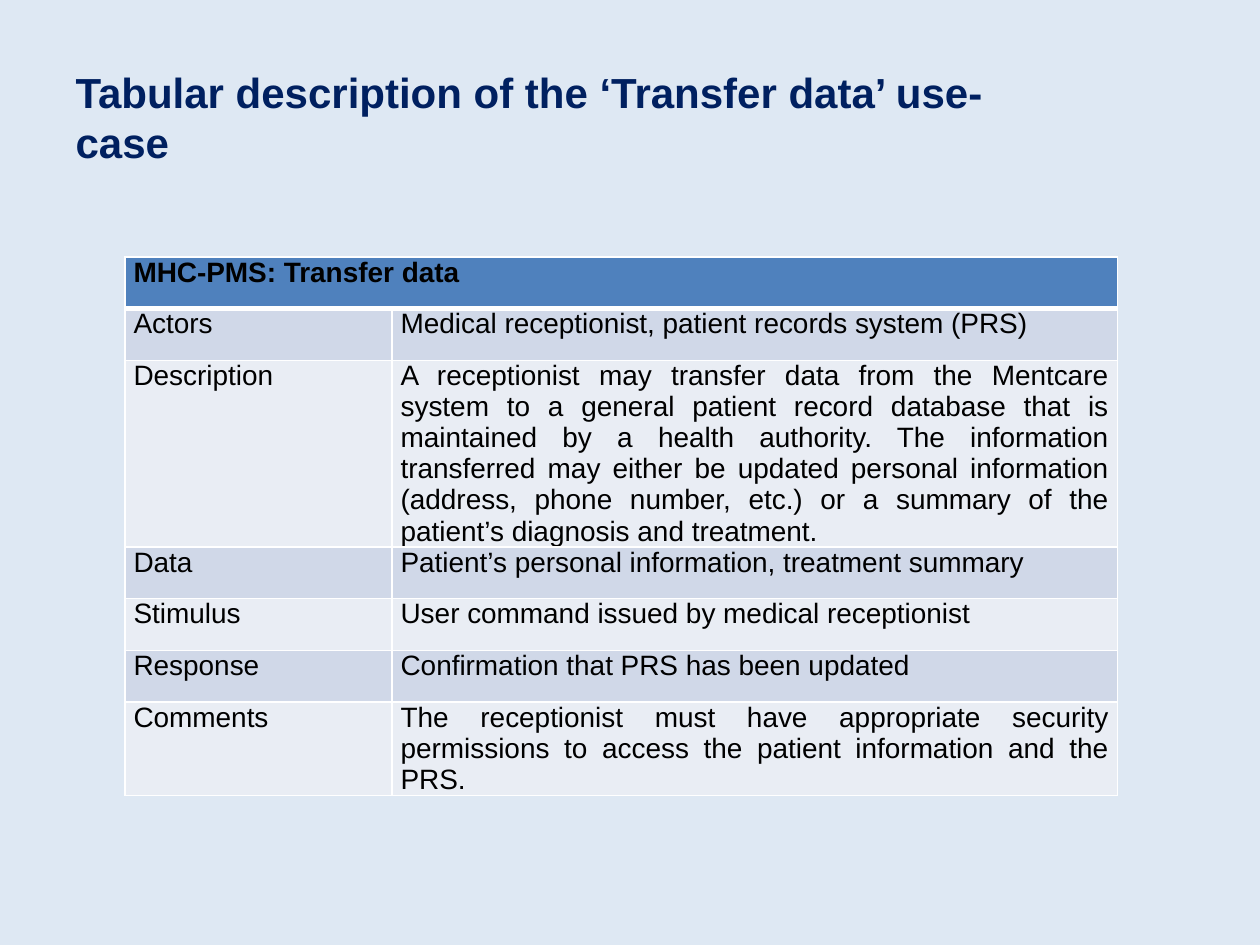
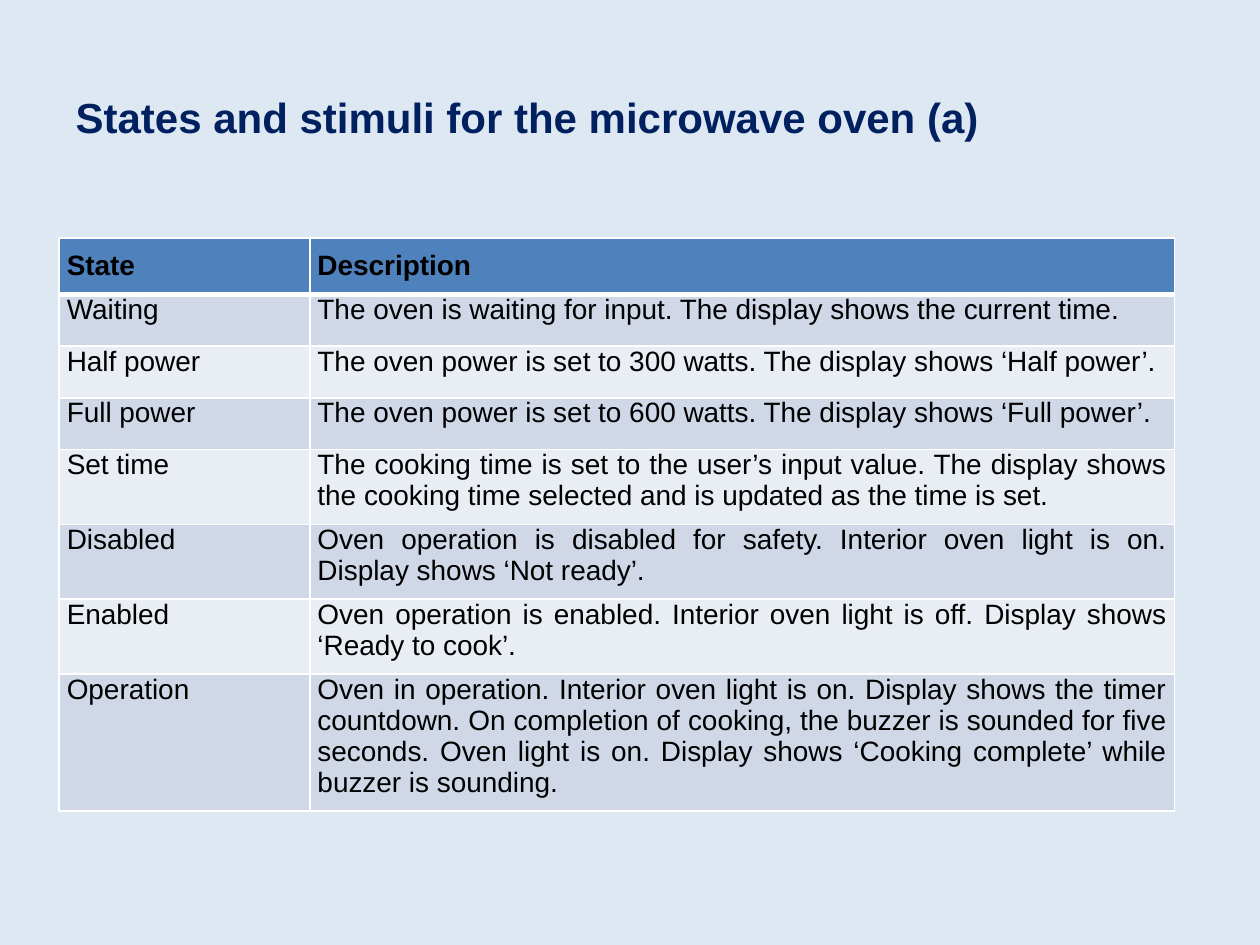
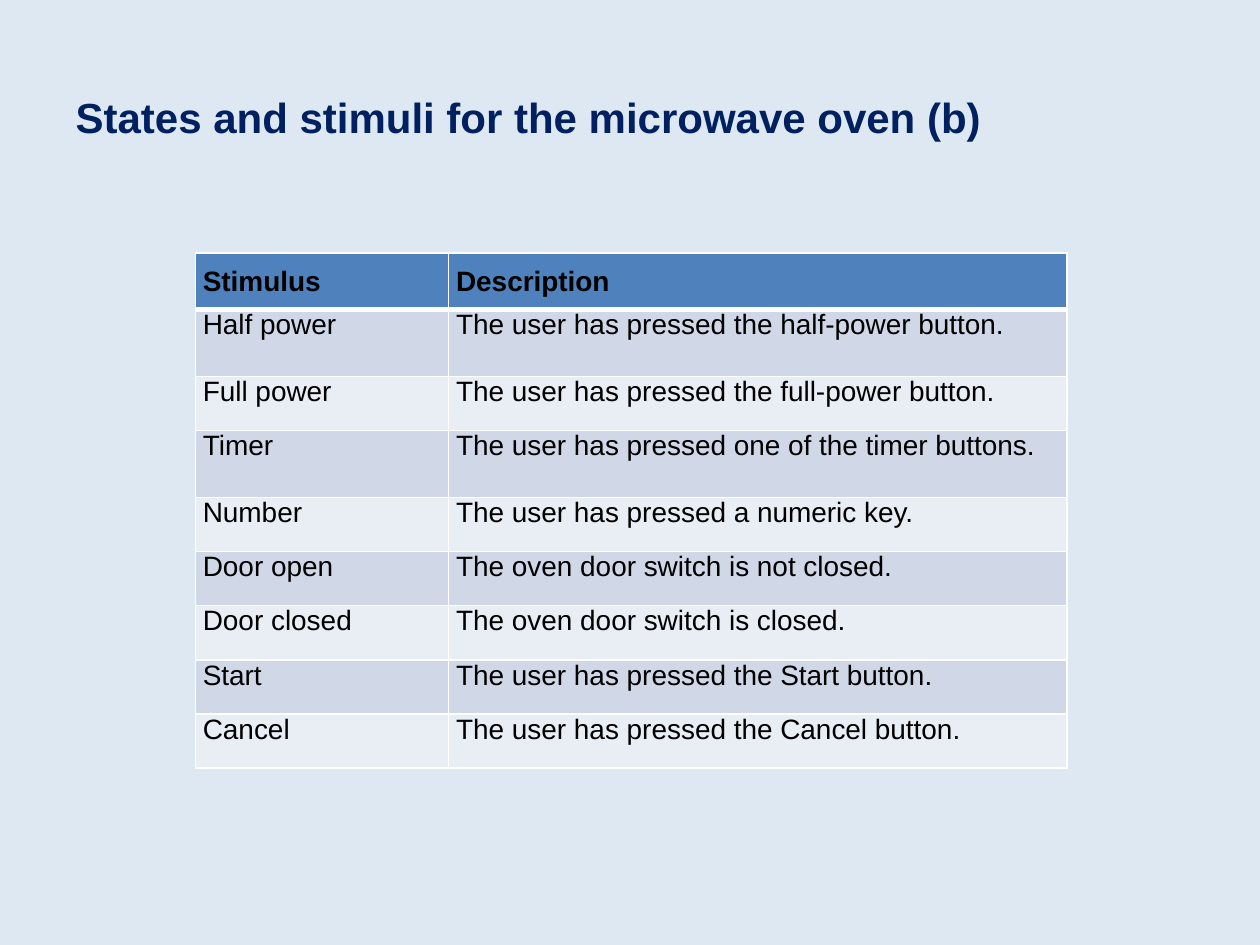
from collections import namedtuple

from lxml import etree
from pptx import Presentation
from pptx.dml.color import RGBColor
from pptx.enum import text
from pptx.oxml import ns
from pptx.util import Inches, Pt

Box = namedtuple("Box", "left top width height")

COLOURS = {
    "background": "DEE8F3",
    "title": "002060",
    "body": "000000",
    "header": "4F81BD",
    "odd_row": "D0D8E8",
    "even_row": "E9EDF4",
    "border": "FFFFFF",
}
TITLE_BOX = Box(0.5, 0.3, 7.98, 1.25)
TITLE_FONT = {"name": "Arial", "size": Pt(24), "bold": True}
BODY_FONT = {"name": "Arial", "size": Pt(16), "bold": False}
HEADER_FONT = {**BODY_FONT, "bold": True}
TITLE_FRAME = {
    "word_wrap": True,
    "auto_size": text.MSO_AUTO_SIZE.NONE,
    "vertical_anchor": text.MSO_ANCHOR.MIDDLE,
}
THIN, THICK = 1, 3

TRANSFER_ROWS = [
    ("MHC-PMS: Transfer data",),
    ("Actors", "Medical receptionist, patient records system (PRS)"),
    ("Description", "A receptionist may transfer data from the Mentcare system to a general "
     "patient record database that is maintained by a health authority. The information "
     "transferred may either be updated personal information (address, phone number, etc.) "
     "or a summary of the patient’s diagnosis and treatment."),
    ("Data", "Patient’s personal information, treatment summary"),
    ("Stimulus", "User command issued by medical receptionist"),
    ("Response", "Confirmation that PRS has been updated"),
    ("Comments", "The receptionist must have appropriate security permissions to access "
     "the patient information and the PRS."),
]
STATE_ROWS = [
    ("State", "Description"),
    ("Waiting", "The oven is waiting for input. The display shows the current time."),
    ("Half power", "The oven power is set to 300 watts. The display shows ‘Half power’."),
    ("Full power", "The oven power is set to 600 watts. The display shows ‘Full power’."),
    ("Set time", "The cooking time is set to the user’s input value. The display shows "
     "the cooking time selected and is updated as the time is set."),
    ("Disabled", "Oven operation is disabled for safety. Interior oven light is on. "
     "Display shows ‘Not ready’."),
    ("Enabled", "Oven operation is enabled. Interior oven light is off. Display shows "
     "‘Ready to cook’."),
    ("Operation", "Oven in operation. Interior oven light is on. Display shows the timer "
     "countdown. On completion of cooking, the buzzer is sounded for five seconds. Oven "
     "light is on. Display shows ‘Cooking complete’ while buzzer is sounding."),
]
STIMULUS_ROWS = [
    ("Stimulus", "Description"),
    ("Half power", "The user has pressed the half-power button."),
    ("Full power", "The user has pressed the full-power button."),
    ("Timer", "The user has pressed one of the timer buttons."),
    ("Number", "The user has pressed a numeric key."),
    ("Door open", "The oven door switch is not closed."),
    ("Door closed", "The oven door switch is closed."),
    ("Start", "The user has pressed the Start button."),
    ("Cancel", "The user has pressed the Cancel button."),
]

SLIDES = [
    {
        "title": "Tabular description of the ‘Transfer data’ use-case",
        "box": Box(0.99, 2.04, 7.88, 4.43),
        "label_width": 2.12,
        "row_heights": [0.41] * 7,
        "side_inset": 0.07,
        "end_inset": 0,
        "rows": TRANSFER_ROWS,
    },
    {
        "title": "States and stimuli for the microwave oven (a)",
        "box": Box(0.47, 1.89, 8.85, 4.75),
        "label_width": 1.99,
        "row_heights": [0.41] * 8,
        "side_inset": 0.06,
        "end_inset": 0.1,
        "rows": STATE_ROWS,
    },
    {
        "title": "States and stimuli for the microwave oven (b)",
        "box": Box(1.55, 2.01, 6.92, 4.11),
        "label_width": 2.01,
        "row_heights": [0.43, 0.53, 0.43, 0.53] + [0.43] * 5,
        "side_inset": 0.06,
        "end_inset": 0.1,
        "rows": STIMULUS_ROWS,
    },
]


def colour(name):
    return RGBColor.from_string(COLOURS[name])


def set_attributes(target, values):
    for name, value in values.items():
        setattr(target, name, value)


def write(frame, words, font, colour_name, alignment):
    frame.text = words
    para = frame.paragraphs[0]
    para.alignment = alignment
    span = para.runs[0]
    set_attributes(span.font, font)
    span.font.color.rgb = colour(colour_name)


def add_title(page, words, box):
    title = page.shapes.title
    set_attributes(title, {side: Inches(length) for side, length in box._asdict().items()})
    set_attributes(title.text_frame, TITLE_FRAME)
    write(title.text_frame, words, TITLE_FONT, "title", text.PP_ALIGN.LEFT)


def set_borders(cell, row_index):
    widths = {
        "lnL": THIN,
        "lnR": THIN,
        "lnT": THICK if row_index == 1 else THIN,
        "lnB": THICK if row_index == 0 else THIN,
    }
    properties = cell._tc.get_or_add_tcPr()
    for edge, width in widths.items():
        line = etree.SubElement(properties, ns.qn(f"a:{edge}"), w=str(Pt(width)))
        fill = etree.SubElement(line, ns.qn("a:solidFill"))
        etree.SubElement(fill, ns.qn("a:srgbClr"), val=COLOURS["border"])


def format_cell(cell, row_index, side_inset, end_inset):
    set_borders(cell, row_index)
    is_header = row_index == 0
    band = "header" if is_header else "odd_row" if row_index % 2 else "even_row"
    cell.fill.solid()
    cell.fill.fore_color.rgb = colour(band)
    set_attributes(cell, {
        "margin_left": Inches(side_inset),
        "margin_right": Inches(side_inset),
        "margin_top": Inches(end_inset if is_header else 0),
        "margin_bottom": Inches(end_inset),
        "vertical_anchor": text.MSO_ANCHOR.TOP,
    })


def add_description_table(page, box, rows, label_width, row_heights, side_inset, end_inset):
    holder = page.shapes.add_table(len(rows), 2, *map(Inches, box))
    table = holder.table
    for column, width in zip(table.columns, (label_width, box.width - label_width)):
        column.width = Inches(width)
    for row_index, (words, height) in enumerate(zip(rows, row_heights)):
        row = table.rows[row_index]
        row.height = Inches(height)
        for cell in row.cells:
            format_cell(cell, row_index, side_inset, end_inset)
        if len(words) == 1:
            row.cells[0].merge(row.cells[1])
        font = BODY_FONT if row_index else HEADER_FONT
        for cell, entry in zip(row.cells, words):
            write(cell.text_frame, entry, font, "body", text.PP_ALIGN.JUSTIFY)
    holder.height = Inches(box.height)


def add_table_slide(deck, title, **table_values):
    page = deck.slides.add_slide(deck.slide_layouts.get_by_name("Title Only"))
    add_title(page, title, TITLE_BOX)
    add_description_table(page, **table_values)


def main():
    deck = Presentation()
    deck.slide_width, deck.slide_height = Inches(10), Inches(7.5)
    background = deck.slide_master.background.fill
    background.solid()
    background.fore_color.rgb = colour("background")
    for values in SLIDES:
        add_table_slide(deck, **values)
    deck.save("out.pptx")


if __name__ == "__main__":
    main()
